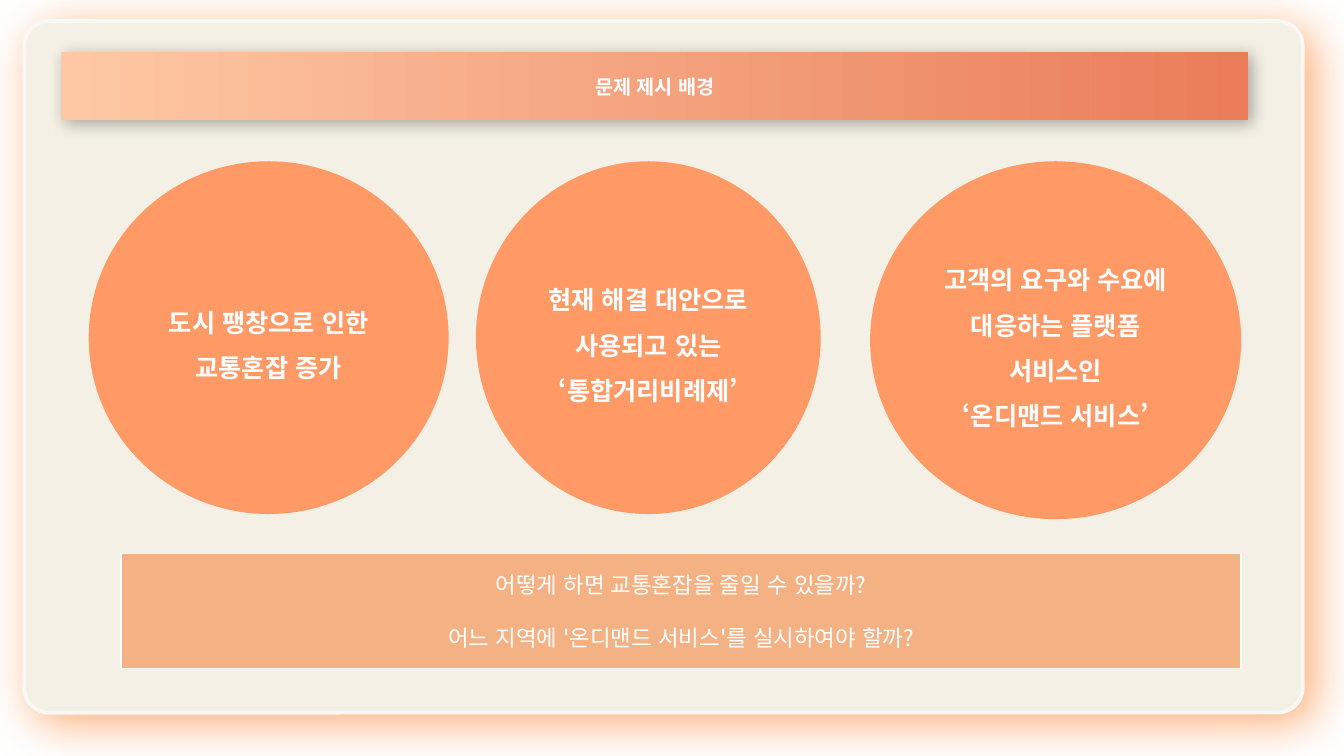
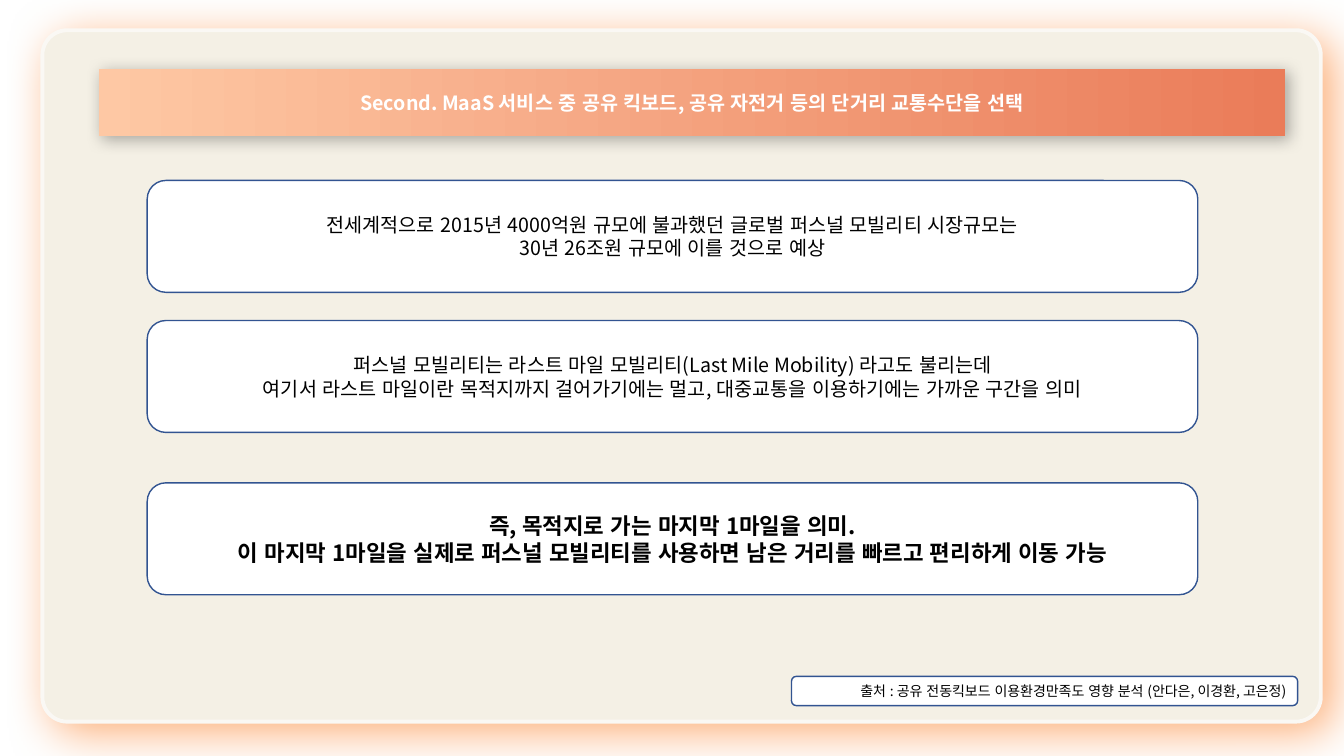
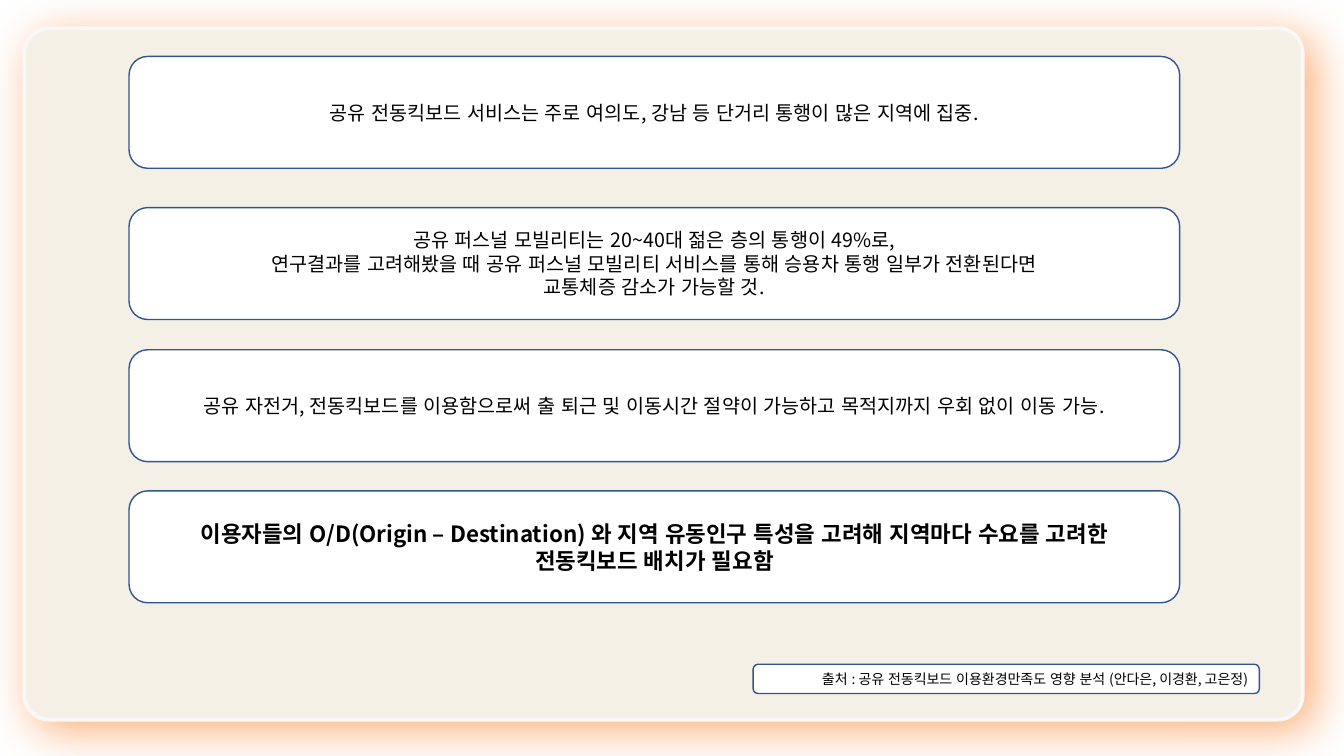
from lxml import etree
from pptx import Presentation
from pptx.dml.color import RGBColor
from pptx.enum.lang import MSO_LANGUAGE_ID
from pptx.enum.shapes import MSO_SHAPE
from pptx.enum.text import MSO_ANCHOR, MSO_AUTO_SIZE, PP_ALIGN
from pptx.oxml.ns import qn
from pptx.util import Pt

ROUND, OVAL, RECT = MSO_SHAPE.ROUNDED_RECTANGLE, MSO_SHAPE.OVAL, MSO_SHAPE.RECTANGLE
MIDDLE, FIXED = MSO_ANCHOR.MIDDLE, MSO_AUTO_SIZE.NONE
CENTER, RIGHT = PP_ALIGN.CENTER, PP_ALIGN.RIGHT
KOREAN = MSO_LANGUAGE_ID.KOREAN

WHITE = RGBColor(0xFF, 0xFF, 0xFF)
BLACK = RGBColor(0x00, 0x00, 0x00)
CREAM = RGBColor(0xF4, 0xF0, 0xE5)
IVORY = RGBColor(0xFA, 0xF8, 0xF4)
GLOW = RGBColor(0xFD, 0xB0, 0x7A)
PEACH = RGBColor(0xFE, 0xC8, 0xA4)
CORAL = RGBColor(0xEA, 0x7C, 0x59)
ORANGE = RGBColor(0xFF, 0x99, 0x66)
SAND = RGBColor(0xF4, 0xB1, 0x83)
NAVY = RGBColor(0x32, 0x54, 0x91)

FONT = "Noto Sans CJK KR"
PX = 9144
WIDE, HIGH = 1333, 750
PANEL = (1268, 686)
BAR = (1177, 67)
CARD = (1042, 111)
NOTE = (502, 29)
SOURCE = "출처 : 공유 전동킥보드 이용환경만족도 영향 분석 (안다은, 이경환, 고은정)"

SLIDES = [
    {
        "panel": (24, 21),
        "title": (61, 52, "문제 제시 배경"),
        "discs": [
            (88, 160, 357, 350, ["도시 팽창으로 인한", "교통혼잡 증가"]),
            (472, 160, 342, 350, ["현재 해결 대안으로 사용되고 있는", "‘통합거리비례제’"]),
            (863, 160, 368, 355,
             ["고객의 요구와 수요에 대응하는 플랫폼 서비스인", "‘온디맨드 서비스’"]),
        ],
        "ask": (120, 549, 1111, 114,
                ["어떻게 하면 교통혼잡을 줄일 수 있을까?",
                 "어느 지역에 '온디맨드 서비스'를 실시하여야 할까?"]),
    },
    {
        "panel": (42, 30),
        "title": (98, 68,
                  "Second. MaaS 서비스 중 공유 킥보드, 공유 자전거 등의 단거리 교통수단을 선택"),
        "left": 146,
        "cards": [
            (179, ["전세계적으로 2015년 4000억원 규모에 불과했던 글로벌 퍼스널 모빌리티 시장규모는",
                   "30년 26조원 규모에 이를 것으로 예상"]),
            (318, ["퍼스널 모빌리티는 라스트 마일 모빌리티(Last Mile Mobility) 라고도 불리는데",
                   "여기서 라스트 마일이란 목적지까지 걸어가기에는 멀고, "
                   "대중교통을 이용하기에는 가까운 구간을 의미"]),
            (479, ["즉, 목적지로 가는 마지막 1마일을 의미.",
                   "이 마지막 1마일을 실제로 퍼스널 모빌리티를 사용하면 "
                   "남은 거리를 빠르고 편리하게 이동 가능"]),
        ],
        "note": (785, 671),
    },
    {
        "panel": (24, 28),
        "left": 128,
        "cards": [
            (56, ["공유 전동킥보드 서비스는 주로 여의도, 강남 등 단거리 통행이 많은 지역에 집중."]),
            (206, ["공유 퍼스널 모빌리티는 20~40대 젊은 층의 통행이 49%로,",
                   "연구결과를 고려해봤을 때 공유 퍼스널 모빌리티 서비스를 통해 "
                   "승용차 통행 일부가 전환된다면",
                   "교통체증 감소가 가능할 것."]),
            (347, ["공유 자전거, 전동킥보드를 이용함으로써 출 퇴근 및 이동시간 절약이 "
                   "가능하고 목적지까지 우회 없이 이동 가능."]),
            (487, ["이용자들의 O/D(Origin – Destination) 와 지역 유동인구 특성을 고려해 "
                   "지역마다 수요를 고려한",
                   "전동킥보드 배치가 필요함"]),
        ],
        "note": (747, 659),
    },
]


def node(parent, tag, **attrs):
    return etree.SubElement(parent, qn(tag), {k: str(v) for k, v in attrs.items()})


def shade(shape, color, alpha, blur, dist):
    shape.shadow.inherit = False
    effect = shape._element.spPr.find(qn("a:effectLst"))
    outer = node(effect, "a:outerShdw", blurRad=Pt(blur), dist=Pt(dist),
                 dir=45 * 60000, algn="tl", rotWithShape=0)
    node(node(outer, "a:srgbClr", val=color), "a:alpha", val=alpha * 1000)


def place(shape, x, y, w, h):
    shape.left, shape.top = x * PX, y * PX
    shape.width, shape.height = w * PX, h * PX


def draw(slide, kind, box, fill, edge=None, weight=1):
    shape = slide.shapes.add_shape(kind, *(v * PX for v in box))
    shape.shadow.inherit = False
    shape.fill.solid()
    shape.fill.fore_color.rgb = fill
    if edge is None:
        shape.line.fill.background()
    else:
        shape.line.color.rgb = edge
        shape.line.width = Pt(weight)
    return shape


def write(shape, lines, size, color, bold=False, align=CENTER, leading=None, gap=0):
    frame = shape.text_frame
    frame.word_wrap = True
    frame.auto_size = FIXED
    frame.vertical_anchor = MIDDLE
    for i, line in enumerate(lines):
        para = frame.add_paragraph() if i else frame.paragraphs[0]
        para.alignment = align
        if leading:
            para.line_spacing = leading
        if i and gap:
            para.space_before = Pt(gap)
        run = para.add_run()
        run.text = line
        font = run.font
        font.size, font.bold, font.name = Pt(size), bold, FONT
        font.color.rgb = color
        font.language_id = KOREAN
        node(font._element, "a:ea", typeface=FONT)


def add_title(slide, x, y, text):
    title = slide.shapes.title
    place(title, x, y, *BAR)
    geom = node(title._element.spPr, "a:prstGeom", prst="roundRect")
    node(node(geom, "a:avLst"), "a:gd", name="adj", fmla="val 50000")
    title.fill.gradient()
    title.fill.gradient_angle = 0
    for stop, color, pos in zip(title.fill.gradient_stops, (PEACH, CORAL), (0, 1)):
        stop.color.rgb = color
        stop.position = pos
    title.line.fill.background()
    shade(title, BLACK, 30, 11, 3)
    write(title, [text], 14, WHITE, bold=True)
    slide.shapes._spTree.append(title._element)


def build(deck, data):
    layout = "Title Only" if "title" in data else "Blank"
    slide = deck.slides.add_slide(deck.slide_layouts.get_by_name(layout))
    panel = draw(slide, ROUND, data["panel"] + PANEL, CREAM, IVORY, 2.75)
    panel.adjustments[0] = 0.036
    shade(panel, GLOW, 100, 33, 10)
    if "title" in data:
        add_title(slide, *data["title"])
    for *box, lines in data.get("discs", []):
        write(draw(slide, OVAL, box, ORANGE), lines, 18, WHITE, bold=True, leading=1.5)
    if "ask" in data:
        *box, lines = data["ask"]
        write(draw(slide, RECT, box, SAND, WHITE), lines, 16, WHITE, gap=19)
    cards = data.get("cards", [])
    for i, (top, lines) in enumerate(cards, 1):
        last = i == len(cards)
        card = draw(slide, ROUND, (data["left"], top) + CARD, WHITE, NAVY)
        write(card, lines, 16 if last else 14, BLACK, bold=last)
    if "note" in data:
        note = draw(slide, ROUND, data["note"] + NOTE, WHITE, NAVY)
        write(note, [SOURCE], 10, BLACK, align=RIGHT)


def main():
    deck = Presentation()
    deck.slide_width, deck.slide_height = WIDE * PX, HIGH * PX
    for data in SLIDES:
        build(deck, data)
    deck.save("out.pptx")


if __name__ == "__main__":
    main()
